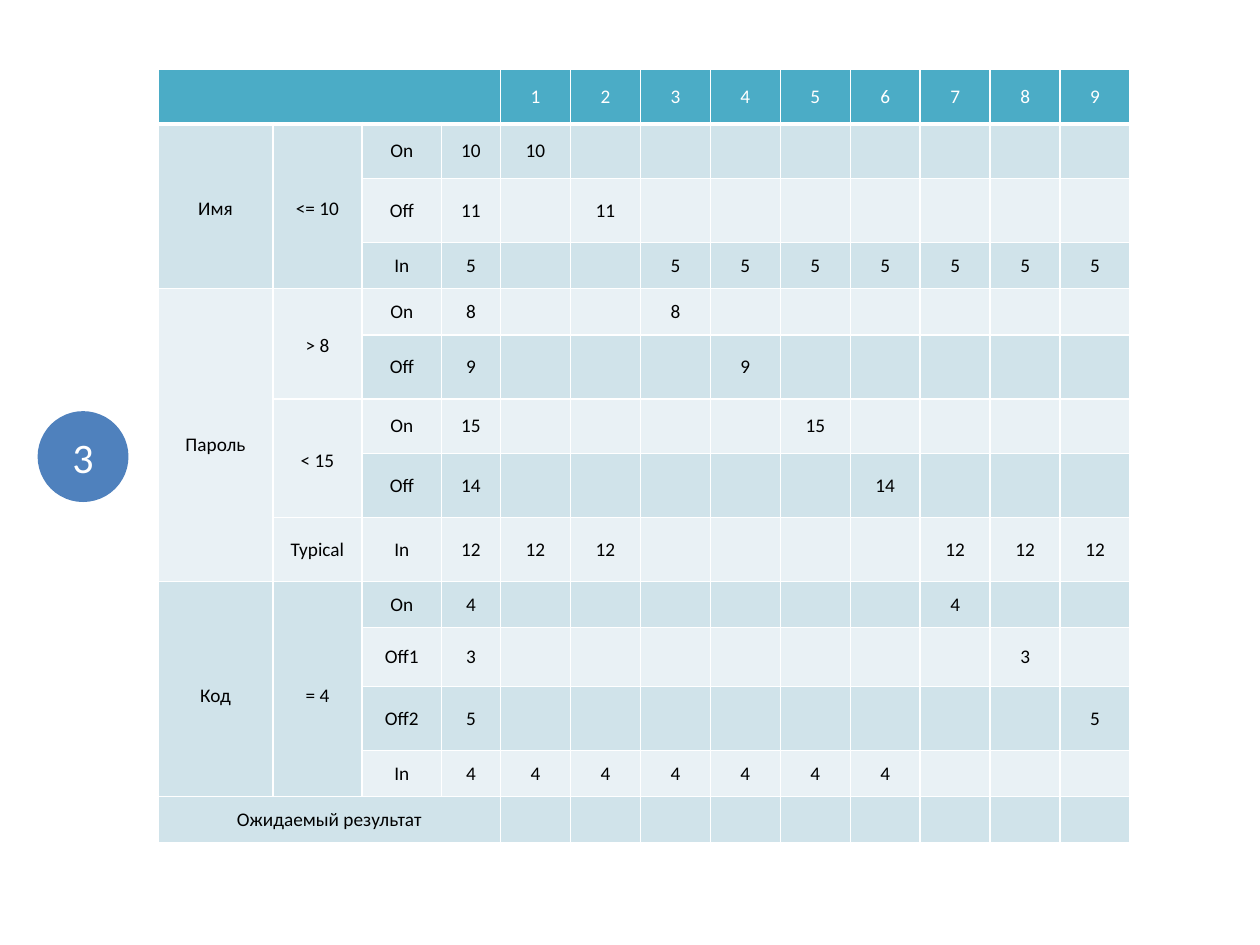
from lxml import etree
from pptx import Presentation
from pptx.dml.color import RGBColor
from pptx.enum.shapes import MSO_SHAPE
from pptx.enum.text import MSO_ANCHOR, PP_ALIGN
from pptx.oxml.ns import qn
from pptx.util import Cm, Pt

OVAL = MSO_SHAPE.OVAL
MIDDLE = MSO_ANCHOR.MIDDLE
CENTER = PP_ALIGN.CENTER

THEME = {
    "font": "Calibri",
    "header": "4BACC6",
    "bands": ("E9F1F5", "D0E3EA"),
    "badge": "4F81BD",
    "white": "FFFFFF",
    "black": "000000",
    "cell_size": 11,
    "badge_size": 24,
}


def write_text(frame, text, size, color):
    frame.text = text
    para = frame.paragraphs[0]
    para.alignment = CENTER
    for span in para.runs:
        span.font.name = THEME["font"]
        span.font.size = Pt(size)
        span.font.bold = False
        span.font.color.rgb = RGBColor.from_string(color)


def add_borders(cell, bottom_width):
    properties = cell._tc.get_or_add_tcPr()
    for side, width in (("L", 1), ("R", 1), ("T", 1), ("B", bottom_width)):
        line = etree.SubElement(properties, qn(f"a:ln{side}"), w=str(Pt(width)))
        fill = etree.SubElement(line, qn("a:solidFill"))
        etree.SubElement(fill, qn("a:srgbClr"), val=THEME["white"])


TEST_COUNT = 9
FIRST_TEST = 4
CONDITIONS = [
    ("On", "10", [1]),
    ("Off", "11", [2]),
    ("In", "5", range(3, 10)),
    ("On", "8", [3]),
    ("Off", "9", [4]),
    ("On", "15", [5]),
    ("Off", "14", [6]),
    ("In", "12", [1, 2, 7, 8, 9]),
    ("On", "4", [7]),
    ("Off1", "3", [8]),
    ("Off2", "5", [9]),
    ("In", "4", range(1, 7)),
]
LABELS = [
    (0, 0, 1, 4, "", 0),
    (1, 0, 3, 1, "Имя", 0.1),
    (1, 1, 3, 1, "<= 10", 0.1),
    (4, 0, 5, 1, "Пароль", 0.38),
    (4, 1, 2, 1, "> 8", 0.1),
    (6, 1, 2, 1, "< 15", 0.1),
    (8, 1, 1, 1, "Typical", 0),
    (9, 0, 4, 1, "Код", 0.28),
    (9, 1, 4, 1, "= 4", 0.28),
    (13, 0, 1, 4, "Ожидаемый результат", 0),
]
COLUMN_WIDTHS = [2.31, 1.8, 1.6, 1.19] + [1.41] * TEST_COUNT
ROW_HEIGHTS = [1.1, 1.1, 1.29, 0.93, 0.93, 1.29, 1.1,
               1.29, 1.29, 0.93, 1.19, 1.29, 0.93, 0.93]

deck = Presentation()
deck.slide_width = Cm(25.4)
deck.slide_height = Cm(19.05)
page = deck.slides.add_slide(deck.slide_layouts[6])

table = page.shapes.add_table(
    len(ROW_HEIGHTS), len(COLUMN_WIDTHS), Cm(3.19), Cm(1.4),
    Cm(sum(COLUMN_WIDTHS)), Cm(sum(ROW_HEIGHTS)),
).table
table.first_row = False
table.horz_banding = False
for column, width in zip(table.columns, COLUMN_WIDTHS):
    column.width = Cm(width)
for row, height in zip(table.rows, ROW_HEIGHTS):
    row.height = Cm(height)

texts = {(0, FIRST_TEST + test): str(test + 1) for test in range(TEST_COUNT)}
for row_index, (point, value, tests) in enumerate(CONDITIONS, start=1):
    texts[row_index, 2] = point
    texts[row_index, 3] = value
    for test in tests:
        texts[row_index, FIRST_TEST + test - 1] = value
for top, left, _, _, label, _ in LABELS:
    texts[top, left] = label

for row_index in range(len(ROW_HEIGHTS)):
    is_header = row_index == 0
    fill_color = THEME["header"] if is_header else THEME["bands"][row_index % 2]
    text_color = THEME["white"] if is_header else THEME["black"]
    for column_index in range(len(COLUMN_WIDTHS)):
        cell = table.cell(row_index, column_index)
        cell.margin_left = cell.margin_right = 0
        cell.margin_top = cell.margin_bottom = 0
        cell.vertical_anchor = MIDDLE
        add_borders(cell, 3 if is_header else 1)
        cell.fill.solid()
        cell.fill.fore_color.rgb = RGBColor.from_string(fill_color)
        text = texts.get((row_index, column_index))
        if text:
            write_text(cell.text_frame, text, THEME["cell_size"], text_color)

for top, left, row_span, column_span, _, text_drop in LABELS:
    cell = table.cell(top, left)
    cell.margin_top = Cm(text_drop)
    if row_span * column_span > 1:
        cell.merge(table.cell(top + row_span - 1, left + column_span - 1))

badge = page.shapes.add_shape(OVAL, Cm(0.78), Cm(8.31), Cm(1.79), Cm(1.79))
badge.shadow.inherit = False
badge.fill.solid()
badge.fill.fore_color.rgb = RGBColor.from_string(THEME["badge"])
badge.line.color.rgb = RGBColor.from_string(THEME["badge"])
badge.line.width = Pt(1.2)
frame = badge.text_frame
frame.margin_left = frame.margin_right = frame.margin_top = frame.margin_bottom = 0
frame.vertical_anchor = MIDDLE
write_text(frame, "3", THEME["badge_size"], THEME["white"])

deck.save("out.pptx")
